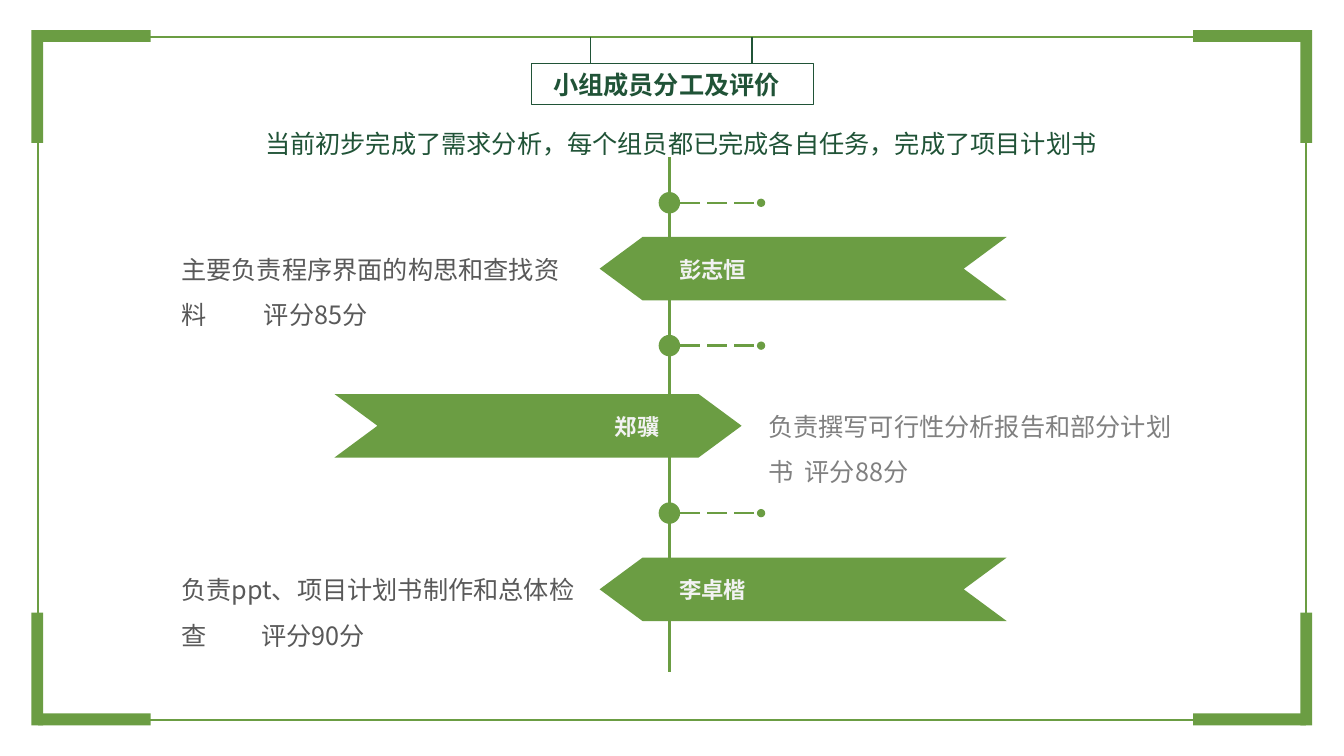
from pptx import Presentation
from pptx.dml.color import RGBColor
from pptx.enum.dml import MSO_LINE
from pptx.enum.shapes import MSO_CONNECTOR, MSO_SHAPE as SHAPE
from pptx.enum.text import MSO_ANCHOR as ANCHOR, MSO_AUTO_SIZE as AUTO, PP_ALIGN as ALIGN
from pptx.oxml.ns import qn
from pptx.util import Cm, Pt
from lxml.etree import SubElement

FONT = "Noto Sans CJK SC"
GREEN, DARK, PALE = "6B9D43", "205337", "F2F2F2"
AXIS_X = 16.87

MEMBERS = [
    ("彭志恒", "主要负责程序界面的构思和查找资料\t评分85分", 5.97, "left", "595959", 2.08),
    ("郑骥", "负责撰写可行性分析报告和部分计划书\t评分88分", 9.93, "right", "808080", 0.92),
    ("李卓楷", "负责ppt、项目计划书制作和总体检查\t评分90分", 14.05, "left", "595959", 2.01),
]


def rgb(color):
    return RGBColor.from_string(color)


def write_text(sp, text, size=18, color=DARK, bold=False, align=ALIGN.LEFT,
               spacing=None, before=None, tab=None, anchor=ANCHOR.TOP,
               insets=(0.25, 0.13), auto=AUTO.SHAPE_TO_FIT_TEXT):
    tf = sp.text_frame
    tf.word_wrap, tf.auto_size, tf.vertical_anchor = True, auto, anchor
    tf.margin_left = tf.margin_right = Cm(insets[0])
    tf.margin_top = tf.margin_bottom = Cm(insets[1])
    p = tf.paragraphs[0]
    p.alignment = align
    if spacing:
        p.line_spacing = spacing
    if before:
        p.space_before = Pt(before)
    if tab:
        tabs = SubElement(p._p.get_or_add_pPr(), qn("a:tabLst"))
        SubElement(tabs, qn("a:tab"), pos=str(Cm(tab)), algn="l")
    r = p.add_run()
    r.text = text
    r.font.name, r.font.size, r.font.bold = FONT, Pt(size), bold
    r.font.color.rgb = rgb(color)
    SubElement(r._r.get_or_add_rPr(), qn("a:ea"), typeface=FONT)


def add_text(slide, x, y, w, h, text, **fmt):
    sp = slide.shapes.add_textbox(Cm(x), Cm(y), Cm(w), Cm(h))
    write_text(sp, text, **fmt)


def add_shape(slide, kind, x, y, w, h, fill=GREEN, line=None, width=1):
    sp = slide.shapes.add_shape(kind, Cm(x), Cm(y), Cm(w), Cm(h))
    sp.shadow.inherit = False
    if fill:
        sp.fill.solid()
        sp.fill.fore_color.rgb = rgb(fill)
    else:
        sp.fill.background()
    if line:
        sp.line.color.rgb = rgb(line)
        sp.line.width = Pt(width)
    else:
        sp.line.fill.background()
    return sp


def add_line(slide, x1, y1, x2, y2, color=GREEN, width=1.0):
    line = slide.shapes.add_connector(MSO_CONNECTOR.STRAIGHT, Cm(x1), Cm(y1), Cm(x2), Cm(y2))
    line.line.color.rgb = rgb(color)
    line.line.width = Pt(width)
    SubElement(line._element.spPr, qn("a:effectLst"))
    return line


def add_frame(slide):
    add_shape(slide, SHAPE.RECTANGLE, 0.96, 0.94, 31.95, 17.2, fill=None, line=GREEN, width=1.5)
    for x in (0.96, 30.07):
        for y in (0.76, 17.98):
            add_shape(slide, SHAPE.RECTANGLE, x, y, 2.84, 0.3)
    for x in (0.79, 32.77):
        for y in (0.76, 15.44):
            add_shape(slide, SHAPE.RECTANGLE, x, y, 0.3, 2.84)


def add_title(slide, text):
    sp = slide.shapes.title
    sp.left, sp.top, sp.width, sp.height = Cm(13.39), Cm(1.6), Cm(7.11), Cm(1.04)
    sp.line.color.rgb = rgb(DARK)
    sp.line.width = Pt(1)
    write_text(sp, text, bold=True, anchor=ANCHOR.MIDDLE, insets=(0.55, 0.13), auto=AUTO.NONE)
    for x in (14.88, 18.95):
        add_line(slide, x, 0.94, x, 1.6, DARK)


def add_node(slide, y):
    size = 0.54
    add_shape(slide, SHAPE.OVAL, AXIS_X - size / 2, y - size / 2, size, size)
    branch = add_line(slide, AXIS_X + size / 2, y, 19.18, y, width=1.75)
    branch.line.dash_style = MSO_LINE.LONG_DASH
    SubElement(branch.line._get_or_add_ln(), qn("a:tailEnd"), type="oval")


def add_member(slide, name, duty, y, side, color, tab):
    on_left = side == "left"
    ribbon_x, name_x, duty_x, duty_w = (
        (15.11, AXIS_X, 4.39, 10.41) if on_left else (8.43, 10.14, 19.18, 10.64))
    ribbon = add_shape(slide, SHAPE.CHEVRON, ribbon_x, y, 10.26, 1.6)
    ribbon.adjustments[0] = 0.677
    ribbon.rotation = 180 if on_left else 0
    add_text(slide, name_x, y + 0.35, 6.73, 0.94, name, size=16, color=PALE, bold=True,
             align=ALIGN.LEFT if on_left else ALIGN.RIGHT)
    add_text(slide, duty_x, y - 0.05, duty_w, 2.49, duty, color=color,
             spacing=1.5, before=3.6, tab=tab, insets=(0.18, 0.1))


def main():
    prs = Presentation()
    prs.slide_width, prs.slide_height = Cm(33.87), Cm(19.05)
    slide = prs.slides.add_slide(prs.slide_layouts[5])
    add_frame(slide)
    add_title(slide, "小组成员分工及评价")
    add_line(slide, AXIS_X, 3.96, AXIS_X, 16.94, width=2)
    for y in (5.11, 8.71, 12.93):
        add_node(slide, y)
    for member in MEMBERS:
        add_member(slide, *member)
    add_text(slide, 6.43, 3.1, 21.54, 1.02,
             "当前初步完成了需求分析，每个组员都已完成各自任务，完成了项目计划书")
    prs.save("out.pptx")


if __name__ == "__main__":
    main()
